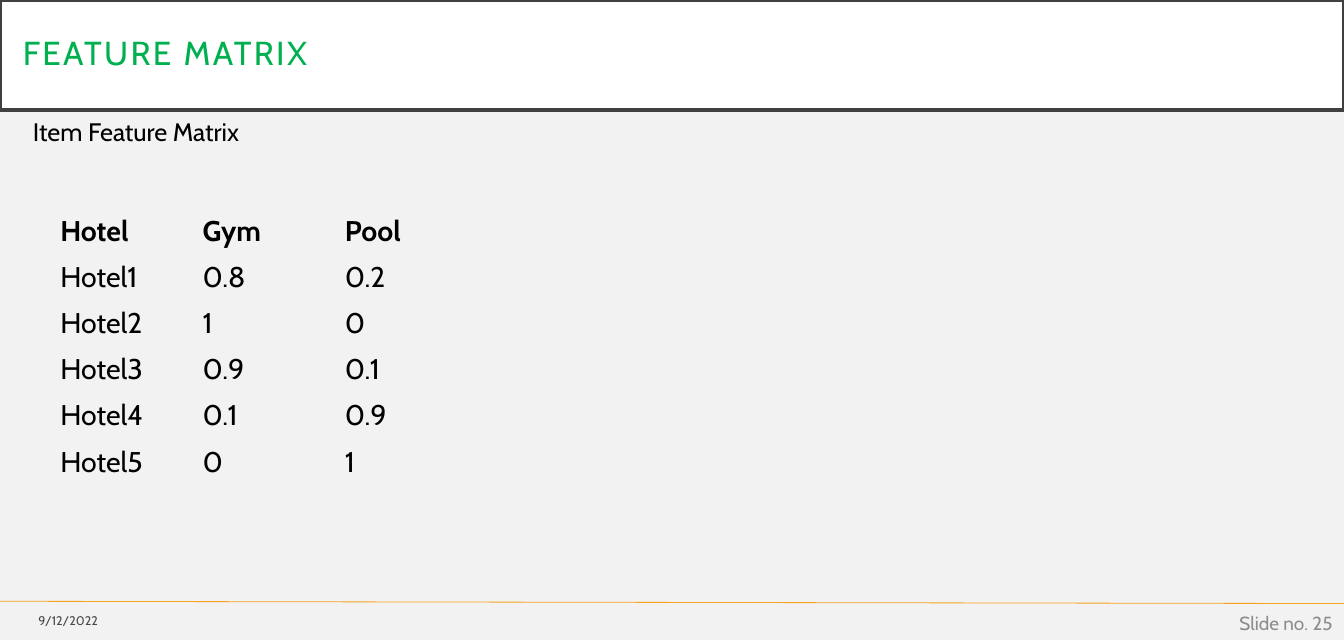
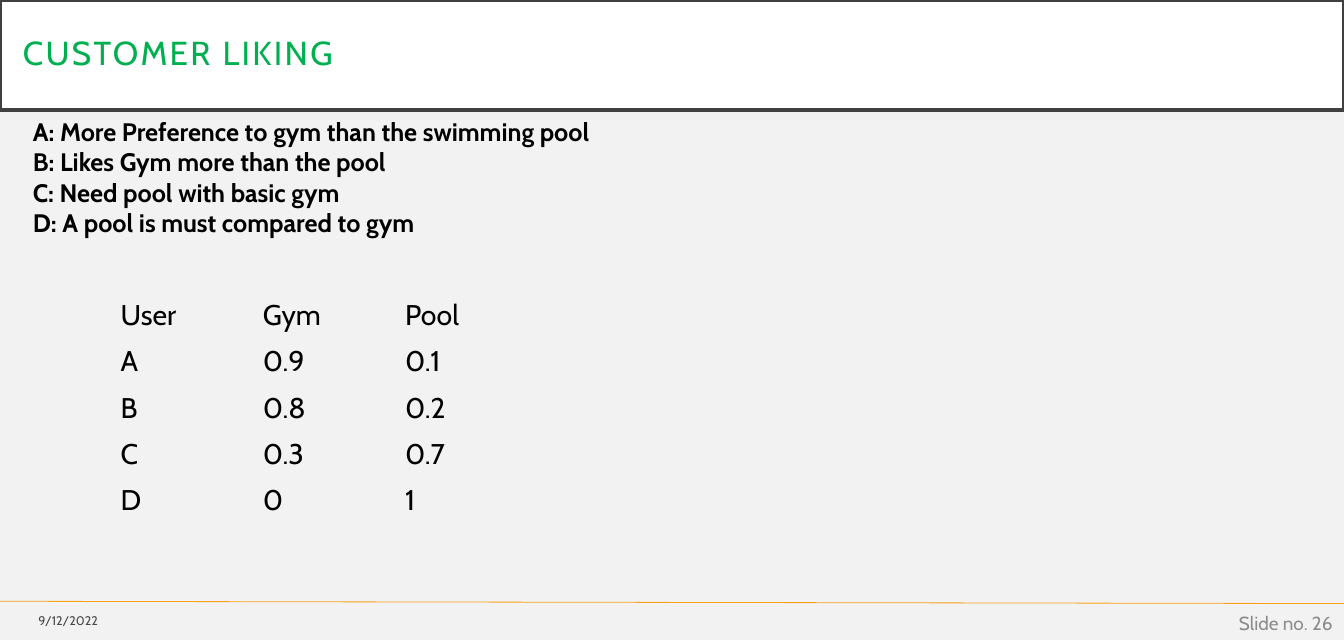
from dataclasses import dataclass

from lxml import etree
from pptx import Presentation
from pptx import util as u
from pptx.dml.color import RGBColor
from pptx.enum import shapes, text
from pptx.oxml.ns import qn


@dataclass(frozen=True)
class Theme:
    font: str = "Cabin"
    page: str = "F2F2F2"
    band: str = "FFFFFF"
    edge: str = "404040"
    title: str = "00B050"
    ink: str = "000000"
    rule: str = "F6A21D"
    number: str = "8C8C8C"
    title_size: float = 21
    date_size: float = 7.9
    number_size: float = 12
    body_size: float = 16
    cell_size: float = 18


T = Theme()
WIDTH, HEIGHT = 11.81, 5.62
BAND = (0, 0, WIDTH, 0.97)
FOOT = (0, 5.28, WIDTH, 0.34)
COL, ROW = 1.25, 0.405
NO_GRID = "{2D5ABB26-0587-4C30-8999-92F81FD0307C}"

DATE = "9/12/2022"
SLIDES = [
    dict(
        title="FEATURE MATRIX", number=25,
        lines=["Item Feature Matrix"], bold=False, notes=(0.19, 0.97, 11.42, 0.37),
        at=(0.41, 1.83), head=True,
        rows=[
            ("Hotel", "Gym", "Pool"),
            ("Hotel1", "0.8", "0.2"),
            ("Hotel2", "1", "0"),
            ("Hotel3", "0.9", "0.1"),
            ("Hotel4", "0.1", "0.9"),
            ("Hotel5", "0", "1"),
        ],
    ),
    dict(
        title="CUSTOMER LIKING", number=26,
        lines=[
            "A: More Preference to gym than the swimming pool",
            "B: Likes Gym more than the pool",
            "C: Need pool with basic gym",
            "D: A pool is must compared to gym",
        ],
        bold=True, notes=(0.19, 0.97, 11.42, 1.18),
        at=(0.94, 2.57), head=False,
        rows=[
            ("User", "Gym", "Pool"),
            ("A", "0.9", "0.1"),
            ("B", "0.8", "0.2"),
            ("C", "0.3", "0.7"),
            ("D", "0", "1"),
        ],
    ),
]


def rgb(code):
    return RGBColor.from_string(code)


def assign(item, **values):
    for name, value in values.items():
        setattr(item, name, value)


def inches(box):
    return [u.Inches(n) for n in box]


def write(frame, lines, size, color, bold=False, align=text.PP_ALIGN.LEFT):
    """Fill a text frame with one paragraph per line; return the runs."""
    runs = []
    for i, line in enumerate(lines):
        para = frame.add_paragraph() if i else frame.paragraphs[0]
        para.alignment = align
        run = para.add_run()
        run.text = line
        assign(run.font, name=T.font, size=u.Pt(size), bold=bold)
        run.font.color.rgb = rgb(color)
        runs.append(run)
    return runs


def label(slide, box, lines, size, color, anchor=text.MSO_ANCHOR.TOP, **style):
    frame = slide.shapes.add_textbox(*inches(box)).text_frame
    assign(frame, word_wrap=True, vertical_anchor=anchor)
    return write(frame, lines, size, color, **style)


def header(slide, box, title):
    band = slide.shapes.title
    left, top, width, height = inches(box)
    assign(band, left=left, top=top, width=width, height=height)
    band.fill.solid()
    band.fill.fore_color.rgb = rgb(T.band)
    band.line.color.rgb = rgb(T.edge)
    band.line.width = u.Pt(2.5)
    frame = band.text_frame
    pad = u.Inches(0.2)
    assign(frame, margin_left=pad, margin_right=pad, margin_top=pad,
           margin_bottom=pad, word_wrap=True, auto_size=text.MSO_AUTO_SIZE.NONE,
           vertical_anchor=text.MSO_ANCHOR.MIDDLE)
    run = write(frame, [title], T.title_size, T.title)[0]
    run.font._element.set("spc", "150")
    frame.paragraphs[0].line_spacing = 0.9


def footer(slide, box, number):
    left, top, width, _ = box
    ends = inches((left, top, left + width, top + 0.02))
    rule = slide.shapes.add_connector(shapes.MSO_CONNECTOR.STRAIGHT, *ends)
    rule.line.color.rgb = rgb(T.rule)
    rule.line.width = u.Pt(0.5)
    etree.SubElement(rule._element.spPr, qn("a:effectLst"))

    style = dict(anchor=text.MSO_ANCHOR.MIDDLE, align=text.PP_ALIGN.RIGHT)
    date = label(slide, (left, top + 0.03, 0.96, 0.27), [DATE],
                 T.date_size, T.ink, **style)[0]
    tint = date.font._element.find(".//" + qn("a:srgbClr"))
    etree.SubElement(tint, qn("a:alpha"), val="70000")
    label(slide, (left + width - 2.66, top + 0.04, 2.66, 0.3),
          [f"Slide no. {number}"], T.number_size, T.number, **style)


def matrix(slide, at, rows, head):
    """Place a plain grid at a corner; head makes its first row bold."""
    count = len(rows[0])
    box = (*at, COL * count, ROW * len(rows))
    frame = slide.shapes.add_table(len(rows), count, *inches(box))
    table = frame.table
    assign(table, first_row=head, horz_banding=False)
    table._tbl.tblPr.find(qn("a:tableStyleId")).text = NO_GRID
    side, edge = inches((0.12, 0.05))
    for r, values in enumerate(rows):
        for c, value in enumerate(values):
            cell = table.cell(r, c)
            cell.fill.background()
            assign(cell, margin_left=side, margin_right=side,
                   margin_top=edge, margin_bottom=edge)
            write(cell.text_frame, [value], T.cell_size, T.ink,
                  bold=head and r == 0)


def build(deck, data):
    slide = deck.slides.add_slide(deck.slide_layouts[5])
    header(slide, BAND, data["title"])
    footer(slide, FOOT, data["number"])
    label(slide, data["notes"], data["lines"], T.body_size, T.ink,
          bold=data["bold"])
    matrix(slide, data["at"], data["rows"], data["head"])


def main():
    deck = Presentation()
    assign(deck, slide_width=u.Inches(WIDTH), slide_height=u.Inches(HEIGHT))
    page = deck.slide_master.background.fill
    page.solid()
    page.fore_color.rgb = rgb(T.page)
    for data in SLIDES:
        build(deck, data)
    deck.save("out.pptx")


if __name__ == "__main__":
    main()
